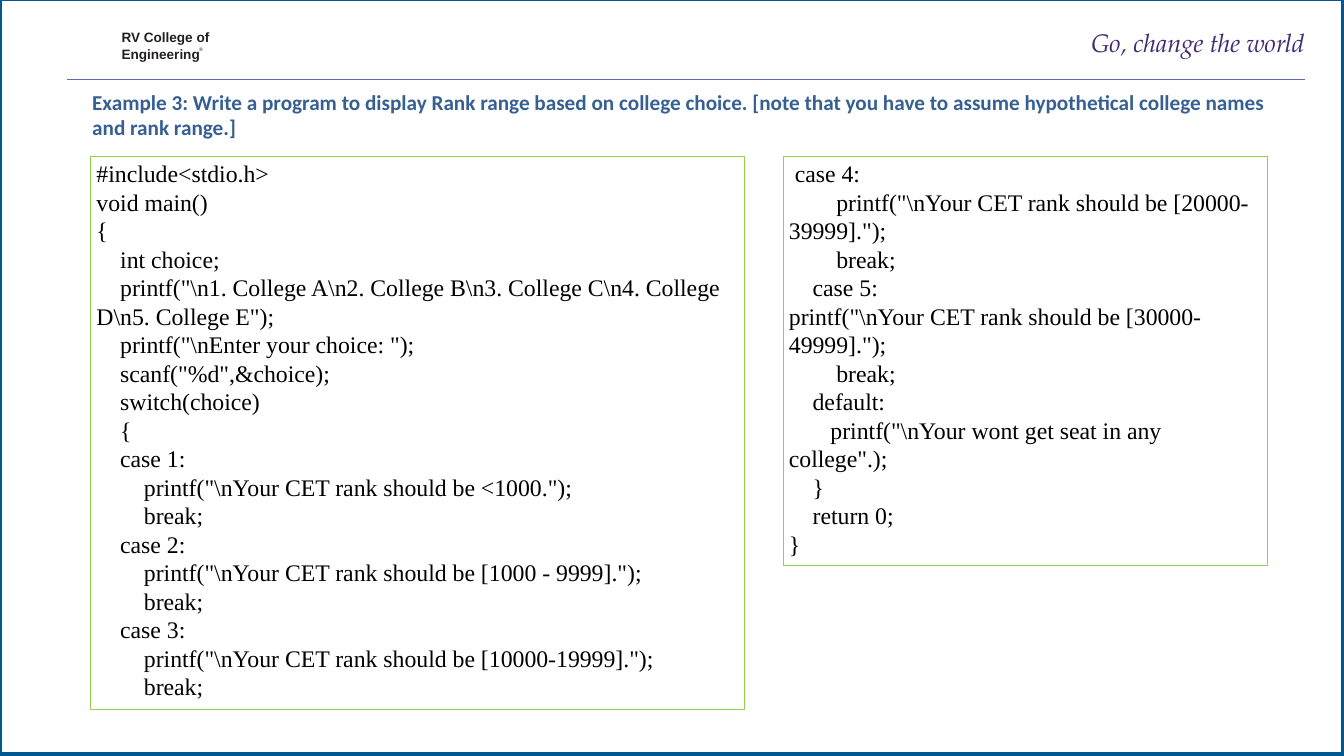
from pptx import Presentation
from pptx.dml.color import RGBColor
from pptx.enum.shapes import MSO_CONNECTOR, MSO_SHAPE
from pptx.enum.text import PP_ALIGN
from pptx.oxml.ns import qn
from pptx.util import Inches, Pt
from lxml import etree

# Colours
WHITE = RGBColor(0xFF, 0xFF, 0xFF)
BLACK = RGBColor(0x00, 0x00, 0x00)
FRAME_BLUE = RGBColor(0x00, 0x58, 0x93)
RULE_BLUE = RGBColor(0x5E, 0x6D, 0xB3)
HEADING_BLUE = RGBColor(0x37, 0x60, 0x92)
MOTTO_PURPLE = RGBColor(0x42, 0x2C, 0x75)
INK = RGBColor(0x23, 0x1F, 0x20)
CODE_GREEN = RGBColor(0x92, 0xD0, 0x50)

# Content
COLLEGE = ["RV College of", "Engineering"]
MOTTO = "Go, change the world"
HEADING = ("Example 3: Write a program to display Rank range based on college choice. "
           "[note that you have to assume hypothetical college names and rank range.]")
CODE_LEFT = r'''#include<stdio.h>
void main()
{
    int choice;
    printf("\n1. College A\n2. College B\n3. College C\n4. College D\n5. College E");
    printf("\nEnter your choice: ");
    scanf("%d",&choice);
    switch(choice)
    {
    case 1:
        printf("\nYour CET rank should be <1000.");
        break;
    case 2:
        printf("\nYour CET rank should be [1000 - 9999].");
        break;
    case 3:
        printf("\nYour CET rank should be [10000-19999].");
        break;'''
CODE_RIGHT = r''' case 4:
        printf("\nYour CET rank should be [20000-39999].");
        break;
    case 5:
printf("\nYour CET rank should be [30000-49999].");
        break;
    default:
       printf("\nYour wont get seat in any college".);
    }
    return 0;
}'''
CODE_PANELS = [
    (CODE_LEFT, (1.48, 2.55, 10.7, 9.05)),
    (CODE_RIGHT, (12.81, 2.55, 7.93, 6.7)),
]

SLIDE_W, SLIDE_H = 21.99, 12.37


def add_text(s, box, lines, font, size, color, bold=False, italic=False,
             align=PP_ALIGN.LEFT, spacing=None, before=0, margins=(0, 0)):
    tb = s.shapes.add_textbox(*map(Inches, box))
    tf = tb.text_frame
    tf.word_wrap = True
    tf.margin_left = tf.margin_right = Inches(margins[0])
    tf.margin_top = tf.margin_bottom = Inches(margins[1])
    for i, line in enumerate(lines):
        p = tf.add_paragraph() if i else tf.paragraphs[0]
        p.alignment = align
        if spacing:
            p.line_spacing = Pt(spacing)
        if i and before:
            p.space_before = Pt(before)
        r = p.add_run()
        r.text = line
        r.font.name = font
        r.font.size = Pt(size)
        r.font.bold = bold
        r.font.italic = italic
        r.font.color.rgb = color
    return tb


prs = Presentation()
prs.slide_width, prs.slide_height = Inches(SLIDE_W), Inches(SLIDE_H)
s = prs.slides.add_slide(prs.slide_layouts[6])

# Slide frame
frame = s.shapes.add_shape(MSO_SHAPE.RECTANGLE, Inches(-0.01), Inches(-0.02),
                           Inches(SLIDE_W), Inches(SLIDE_H))
frame.shadow.inherit = False
frame.fill.solid()
frame.fill.fore_color.rgb = WHITE
frame.line.color.rgb = FRAME_BLUE
frame.line.width = Pt(6)

# Header: rule, college name with its registered mark, motto
rule = s.shapes.add_connector(MSO_CONNECTOR.STRAIGHT, Inches(1.1), Inches(1.3),
                              Inches(21.36), Inches(1.3))
rule.line.color.rgb = RULE_BLUE
rule.line.width = Pt(1.25)
etree.SubElement(rule._element.spPr, qn("a:effectLst"))

add_text(s, (1.99, 0.5, 1.6, 0.54), COLLEGE, "Arial", 16, INK, bold=True,
         spacing=17.9, before=1.4)
add_text(s, (3.26, 0.76, 0.15, 0.1), ["®"], "Arial", 6, INK)
add_text(s, (17.33, 0.45, 4.02, 0.51), [MOTTO], "TeX Gyre Pagella", 30,
         MOTTO_PURPLE, italic=True, align=PP_ALIGN.RIGHT)

# Task heading
add_text(s, (1.41, 1.41, 19.58, 0.94), [HEADING], "Calibri", 25, HEADING_BLUE,
         bold=True, margins=(0.1, 0.05))

# Code panels
for code, box in CODE_PANELS:
    panel = add_text(s, box, code.split("\n"), "Times New Roman", 28, BLACK,
                     spacing=33.6, margins=(0.1, 0.05))
    panel.line.color.rgb = CODE_GREEN
    panel.line.width = Pt(0.75)

prs.save("out.pptx")
